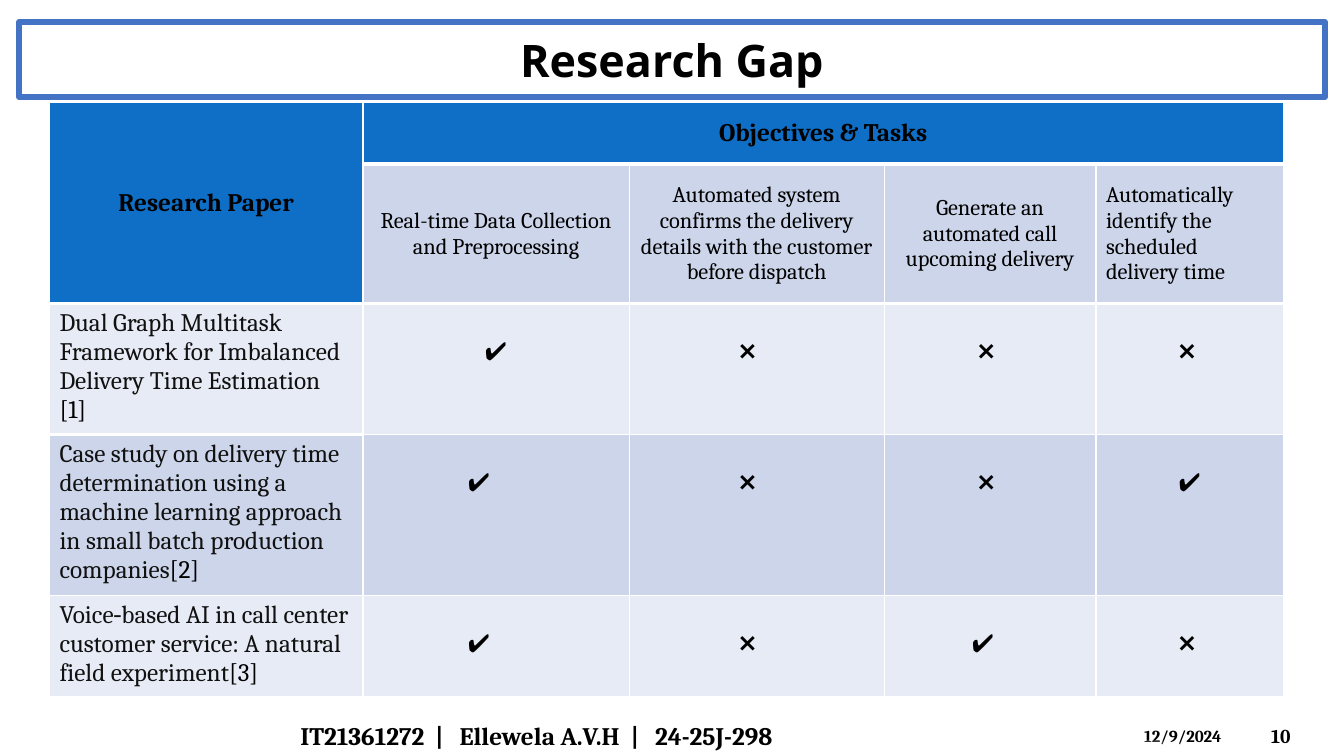
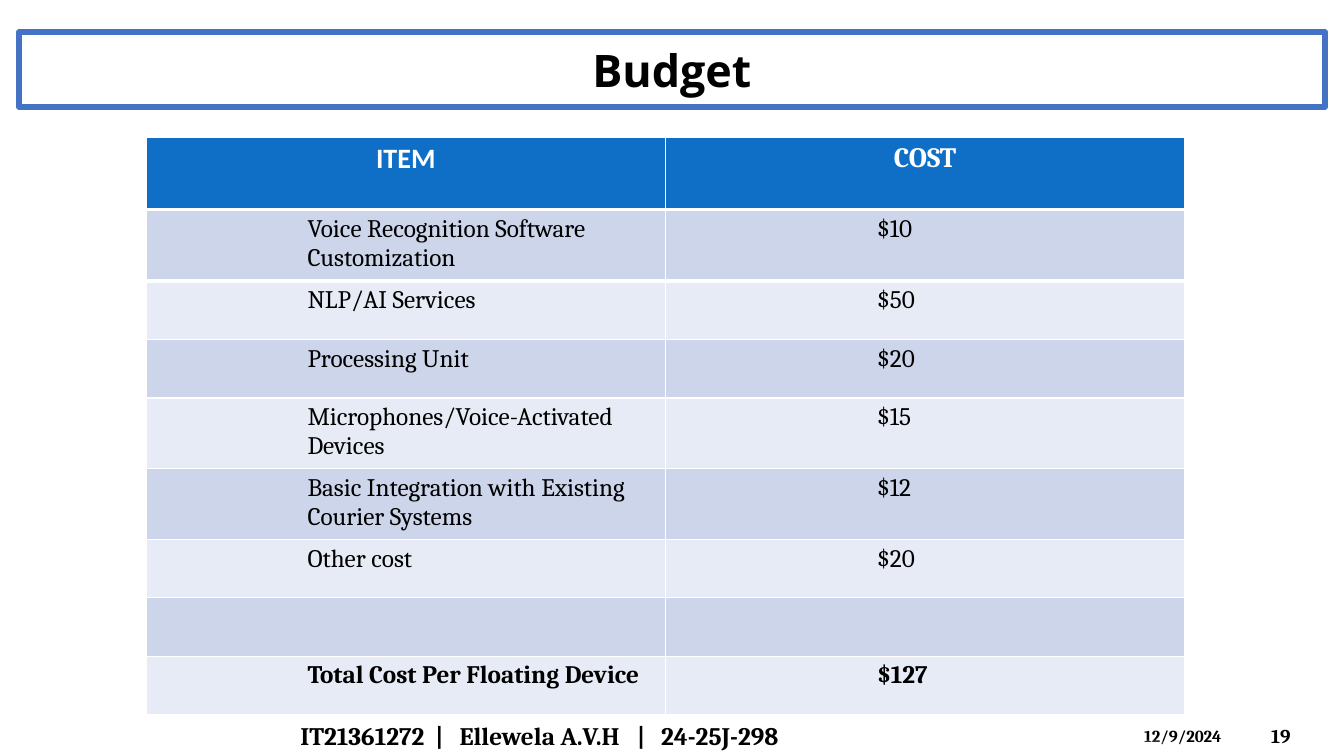
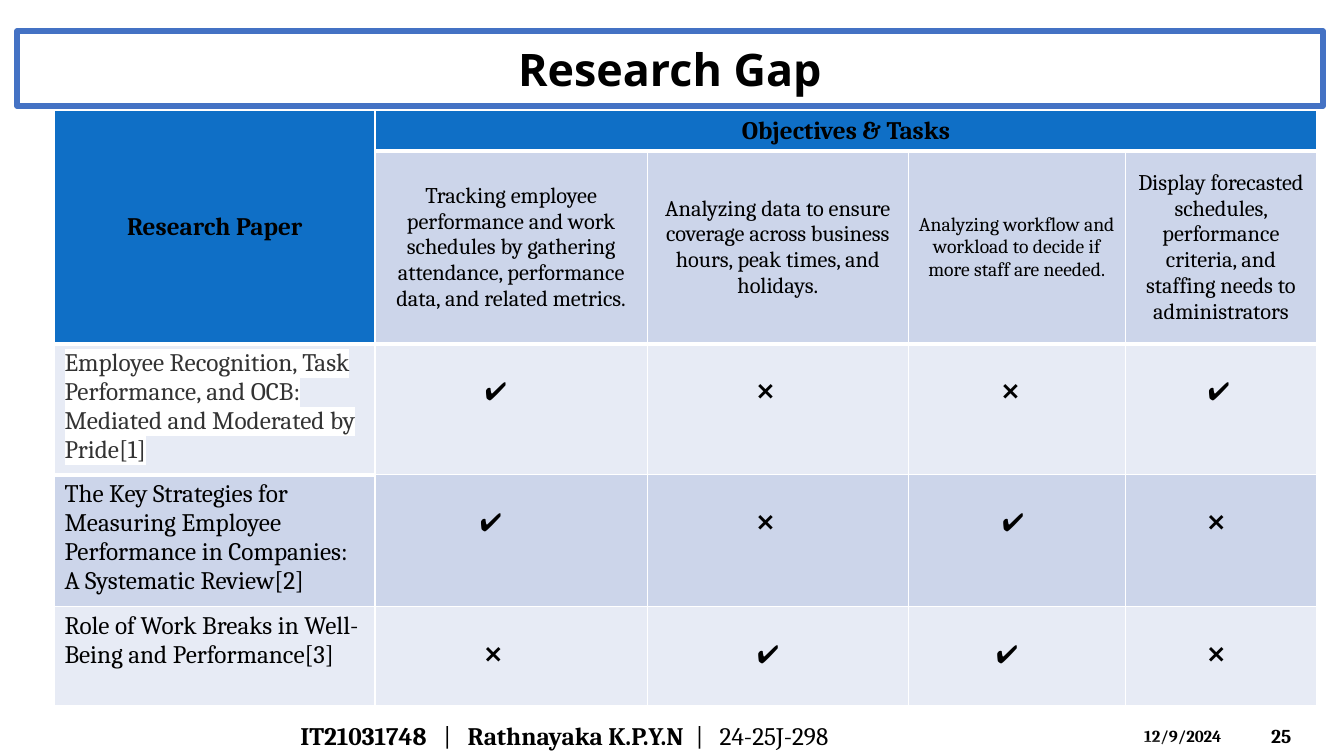
from dataclasses import dataclass

from lxml import etree
from pptx import Presentation
from pptx.dml.color import RGBColor
from pptx.enum import shapes, text
from pptx.oxml import ns
from pptx.util import Inches, Pt

LEFT, MID = text.PP_ALIGN.LEFT, text.PP_ALIGN.CENTER
TOP, CENTRE = text.MSO_ANCHOR.TOP, text.MSO_ANCHOR.MIDDLE


@dataclass(frozen=True)
class Theme:
    serif: str = "Cambria"
    sans: str = "Open Sans"
    plain: str = "Calibri"
    black: str = "000000"
    ink: str = "111111"
    grey: str = "333333"
    white: str = "FFFFFF"
    frame: str = "4472C4"
    head: str = "0F6FC6"
    dark: str = "CCD5EA"
    light: str = "E7EBF5"
    title: int = 32
    label: int = 20
    body: int = 18
    task: int = 16
    small: int = 14
    date: int = 12


T = Theme()
YES, NO = "✔️", "❌"


def rgb(code):
    return RGBColor.from_string(code)


def add_run(para, words, size=T.body, font=T.serif, color=T.black, bold=False, glow=None):
    """Add one run; glow is the highlight colour."""
    run = para.add_run()
    run.text = words
    run.font.size = Pt(size)
    run.font.name = font
    run.font.bold = bold
    run.font.color.rgb = rgb(color)
    if glow:
        mark = etree.Element(ns.qn("a:highlight"))
        etree.SubElement(mark, ns.qn("a:srgbClr"), val=glow)
        run.font.fill._xPr.find(ns.qn("a:solidFill")).addnext(mark)


def add_label(slide, box, words, size, anchor=CENTRE):
    area = slide.shapes.add_textbox(*map(Inches, box)).text_frame
    area.word_wrap = True
    area.vertical_anchor = anchor
    para = area.paragraphs[0]
    if words:
        add_run(para, words, size, bold=True)
    return para


def add_title(slide, words, left, top):
    box = slide.shapes.add_shape(
        shapes.MSO_SHAPE.RECTANGLE, *map(Inches, (left, top, 12.95, 0.74)))
    box.shadow.inherit = False
    box.fill.background()
    box.line.color.rgb = rgb(T.frame)
    box.line.width = Pt(4.5)
    box.text_frame.vertical_anchor = CENTRE
    para = box.text_frame.paragraphs[0]
    para.alignment = MID
    add_run(para, words, T.title, T.sans, bold=True)


def add_peak(slide, top, height, tip):
    """Add a faint triangle across the foot of the slide."""
    peak = slide.shapes.add_shape(
        shapes.MSO_SHAPE.ISOSCELES_TRIANGLE, *map(Inches, (0, top, 13.33, height)))
    peak.shadow.inherit = False
    peak.adjustments[0] = tip
    peak.line.fill.background()
    peak.fill.solid()
    peak.fill.fore_color.rgb = rgb(T.white)
    tint = peak.fill._xPr.find(ns.qn("a:solidFill"))[0]
    etree.SubElement(tint, ns.qn("a:alpha"), val="20000")


def add_footer(slide, page, parts, bars):
    """parts are (words, bold) pairs; bars are the starts of the two dividers."""
    add_label(slide, (12.51, 7.1, 0.74, 0.4), page, T.small)
    add_label(slide, (11.25, 7.15, 1.17, 0.3), "12/9/2024", T.date, TOP)
    add_peak(slide, 7.09, 0.41, 0.63)
    add_peak(slide, 7.3, 0.2, 0.39)
    para = add_label(slide, (2.88, 7.1, 7.45, 0.4), "", T.body)
    stops = etree.SubElement(para._p.get_or_add_pPr(), ns.qn("a:tabLst"))
    for bar in bars:
        for stop in (bar, bar + 0.24):
            etree.SubElement(stops, ns.qn("a:tab"), pos=str(Inches(stop)), algn="l")
    for words, bold in parts:
        add_run(para, words, bold=bold)


def add_grid(slide, left, top, cols, rows):
    grid = slide.shapes.add_table(
        len(rows), len(cols), *map(Inches, (left, top, sum(cols), sum(rows)))).table
    for col, width in zip(grid.columns, cols):
        col.width = Inches(width)
    for row, height in zip(grid.rows, rows):
        row.height = Inches(height)
    return grid


def paint(cell, fill):
    cell.fill.solid()
    cell.fill.fore_color.rgb = rgb(fill)


def edge(cell, side):
    """Give a cell a thick white edge; side is lnT or lnB."""
    line = etree.Element(ns.qn("a:" + side), w=str(Pt(3)))
    fill = etree.SubElement(line, ns.qn("a:solidFill"))
    etree.SubElement(fill, ns.qn("a:srgbClr"), val=T.white)
    cell._tc.get_or_add_tcPr().insert(0, line)


def rule(grid, row, col):
    """Draw the thick rule below one header cell."""
    edge(grid.cell(row, col), "lnB")
    edge(grid.cell(row + 1, col), "lnT")


def put(cell, words, align=LEFT, anchor=TOP, inset=0, **style):
    """Write one paragraph in a cell, inset from its left margin."""
    cell.vertical_anchor = anchor
    cell.margin_left = Inches(0.1 + inset)
    para = cell.text_frame.paragraphs[0]
    para.alignment = align
    add_run(para, words, **style)
    return para


def add_gap(slide, spot, cols, rows, tasks, papers):
    """Draw a table of papers against tasks.

    A task is (words, size, alignment); a paper is (words, reference, style,
    marks), with each mark given as (sign, inset).
    """
    grid = add_grid(slide, *spot, cols, rows)
    for cell in grid.rows[0].cells:
        paint(cell, T.head)
    paint(grid.cell(1, 0), T.head)
    grid.cell(0, 0).merge(grid.cell(1, 0))
    grid.cell(0, 1).merge(grid.cell(0, len(cols) - 1))
    edge(grid.cell(0, 0), "lnB")
    for col in range(len(cols)):
        rule(grid, 0 if col else 1, col)
    for col, words in enumerate(("Research Paper", "Objectives & Tasks")):
        put(grid.cell(0, col), words, MID, CENTRE, bold=True)
    for col, (words, size, align) in enumerate(tasks, 1):
        paint(grid.cell(1, col), T.dark)
        put(grid.cell(1, col), words, align, CENTRE, size=size)
    for row, (words, ref, style, marks) in enumerate(papers, 2):
        for cell in grid.rows[row].cells:
            paint(cell, T.dark if row % 2 else T.light)
        name = grid.cell(row, 0)
        para = put(name, words, **style)
        if ref:
            split = ref.startswith("\n")
            add_run(name.text_frame.add_paragraph() if split else para, ref.strip())
        for col, (sign, inset) in enumerate(marks, 1):
            cell = grid.cell(row, col)
            cell.margin_top = Inches(0.34)
            put(cell, sign, inset=inset)


def add_budget(slide, items):
    rows = [0.72, 0.71, 0.58, 0.58, 0.7, 0.7, 0.58, 0.58, 0.58]
    grid = add_grid(slide, 1.45, 1.36, [5.15] * 2, rows)
    heads = (("ITEM", T.plain), ("COST", T.serif))
    for col, (words, font) in enumerate(heads):
        paint(grid.cell(0, col), T.head)
        rule(grid, 0, col)
        put(grid.cell(0, col), words, MID, size=T.label, font=font,
            color=T.white, bold=True)
    for row, pair in enumerate(items, 1):
        for col, words in enumerate(pair):
            cell = grid.cell(row, col)
            paint(cell, T.dark if row % 2 else T.light)
            if words:
                put(cell, words, inset=(1.5, 2)[col], bold=row == len(items))


def main():
    deck = Presentation()
    deck.slide_width, deck.slide_height = Inches(13.33), Inches(7.5)
    calls, costs, staff = (deck.slides.add_slide(deck.slide_layouts[6]) for _ in range(3))
    ink = {"color": T.ink}
    author = [("IT21361272\t|\tEllewela A.V.H\t|\t24-25J-298", True)]

    add_footer(calls, "10", author, (1.34, 3.28))
    add_gap(
        calls, (0.49, 1.02), [3.11, 2.64, 2.53, 2.1, 1.86], [0.61, 1.38, 1.3, 1.6, 1],
        [("Real-time Data Collection and Preprocessing", T.task, MID),
         ("Automated system confirms the delivery details with the customer before dispatch",
          T.task, MID),
         ("Generate an automated call upcoming delivery", T.task, MID),
         ("Automatically identify the scheduled delivery time", T.task, LEFT)],
        [("Dual Graph Multitask Framework for Imbalanced Delivery Time Estimation",
          "\n[1]", ink, [(YES, 1.11), (NO, 0.99), (NO, 0.83), (NO, 0.72)]),
         ("Case study on delivery time determination using a machine learning approach "
          "in small batch production companies",
          "[2]", ink, [(YES, 0.94), (NO, 0.99), (NO, 0.83), (YES, 0.72)]),
         ("Voice‐based AI in call center customer service: A natural field experiment",
          "[3]", ink, [(YES, 0.94), (NO, 0.99), (YES, 0.77), (NO, 0.72)])])
    add_title(calls, "Research Gap", 0.19, 0.22)

    add_footer(costs, "19", author, (1.34, 3.34))
    add_budget(costs, [
        ("Voice Recognition Software Customization", "$10"),
        ("NLP/AI Services", "$50"),
        ("Processing Unit", "$20"),
        ("Microphones/Voice-Activated Devices", "$15"),
        ("Basic Integration with Existing Courier Systems", "$12"),
        ("Other cost", "$20"),
        ("", ""),
        ("Total Cost Per Floating Device", "$127")])
    add_title(costs, "Budget", 0.19, 0.32)

    add_footer(staff, "25", [("IT21031748", True), ("\t|\t", False),
                             ("Rathnayaka K.P.Y.N", True), ("\t|\t24-25J-298", False)],
               (1.42, 3.92))
    add_title(staff, "Research Gap", 0.17, 0.31)
    add_gap(
        staff, (0.54, 1.1), [3.18, 2.7, 2.59, 2.15, 1.9], [0.39, 1.91, 1.3, 1.31, 0.98],
        [("Tracking employee performance and work schedules by gathering attendance, "
          "performance data, and related metrics.", T.task, MID),
         ("Analyzing data to ensure coverage across business hours, peak times, and holidays.",
          T.task, MID),
         ("Analyzing workflow and workload to decide if more staff are needed.", T.small, MID),
         ("Display forecasted schedules, performance criteria, and staffing needs to "
          "administrators", T.task, MID)],
        [("Employee Recognition, Task Performance, and OCB: Mediated and Moderated by Pride[1]",
          "", {"color": T.grey, "glow": T.white},
          [(YES, 0.99), (NO, 0.99), (NO, 0.83), (YES, 0.72)]),
         ("The Key Strategies for Measuring Employee Performance in Companies: "
          "A Systematic Review[2]",
          "", {}, [(YES, 0.94), (NO, 0.99), (YES, 0.83), (NO, 0.72)]),
         ("Role of Work Breaks in Well-Being and Performance[3]",
          "", {}, [(NO, 0.99), (YES, 0.99), (YES, 0.77), (NO, 0.72)])])
    deck.save("out.pptx")


if __name__ == "__main__":
    main()
